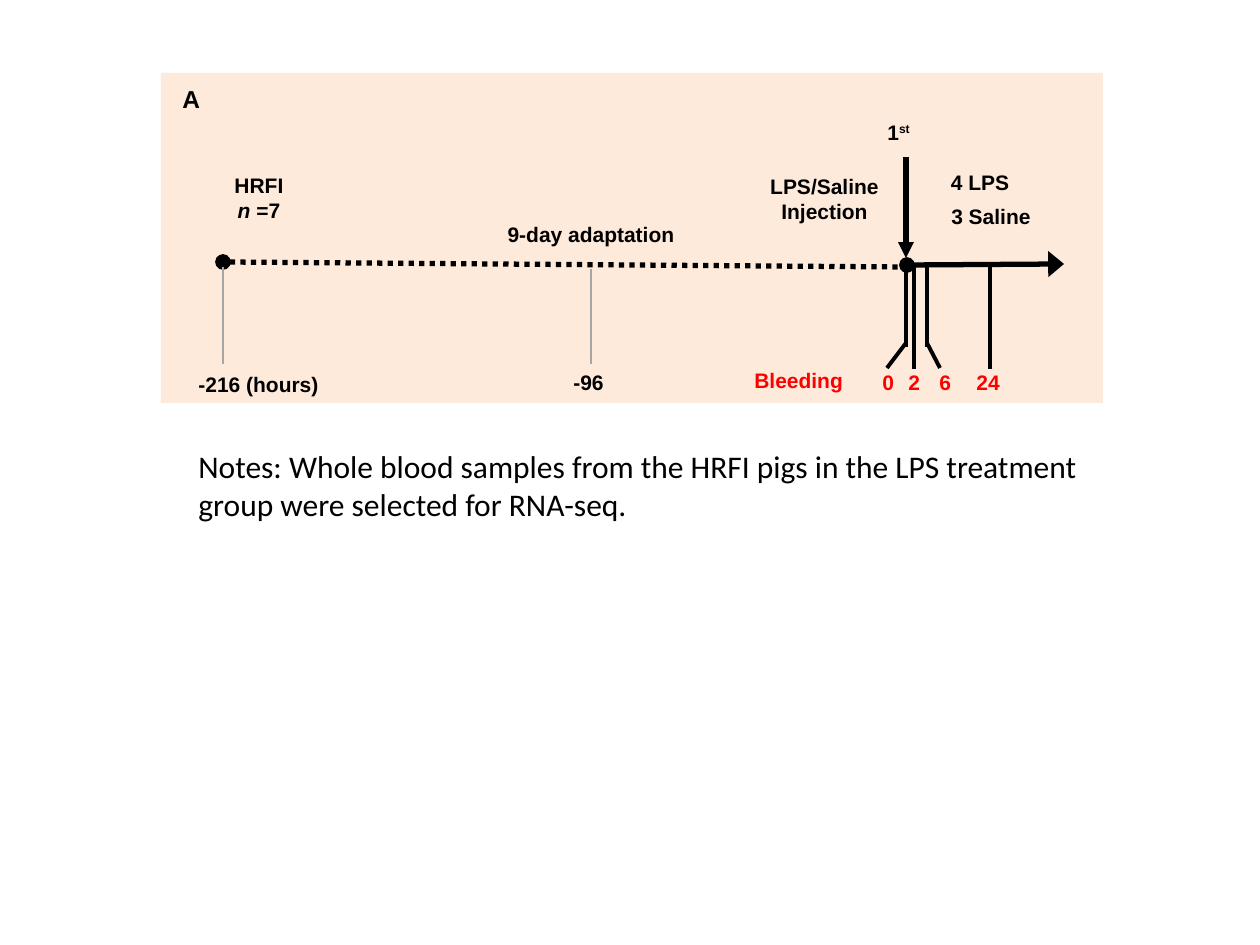
from lxml import etree
from pptx import Presentation
from pptx import util as u
from pptx.dml.color import RGBColor
from pptx.enum import dml, shapes, text
from pptx.oxml import ns

PX = 914400 / 126
BLACK = RGBColor(0x00, 0x00, 0x00)
RED = RGBColor(0xFF, 0x00, 0x00)
GRAY = RGBColor(0xA6, 0xA6, 0xA6)
PEACH = RGBColor(0xFD, 0xEA, 0xDA)
CENTER = text.PP_ALIGN.CENTER
MIDDLE = text.MSO_ANCHOR.MIDDLE


def px(*values):
    return [u.Emu(round(v * PX)) for v in values]


def add_panel(s, x, y, w, h, color):
    sp = s.shapes.add_shape(shapes.MSO_SHAPE.RECTANGLE, *px(x, y, w, h))
    sp.shadow.inherit = False
    sp.fill.solid()
    sp.fill.fore_color.rgb = color
    sp.line.fill.background()


def add_line(s, x1, y1, x2, y2, width, color=BLACK, dash=None, head=None,
             tail=None, tail_width="med"):
    c = s.shapes.add_connector(shapes.MSO_CONNECTOR.STRAIGHT, *px(x1, y1, x2, y2))
    c.line.color.rgb = color
    c.line.width = u.Pt(width)
    if dash:
        c.line.dash_style = dash
    ln = c.line._get_or_add_ln()
    for tag, kind, breadth in (("a:headEnd", head, "med"), ("a:tailEnd", tail, tail_width)):
        if kind:
            etree.SubElement(ln, ns.qn(tag), type=kind, w=breadth)
    etree.SubElement(c._element.spPr, ns.qn("a:effectLst"))


def add_label(s, x, y, w, h, paragraphs, color=BLACK, size=12, font="Arial",
              bold=True, align=None, anchor=None, wrap=True):
    tf = s.shapes.add_textbox(*px(x, y, w, h)).text_frame
    tf.word_wrap = wrap
    if anchor is not None:
        tf.vertical_anchor = anchor
    for i, runs in enumerate(paragraphs):
        p = tf.paragraphs[0] if i == 0 else tf.add_paragraph()
        if align is not None:
            p.alignment = align
        for words, style in runs:
            r = p.add_run()
            r.text = words
            r.font.name = font
            r.font.size = u.Pt(size)
            r.font.bold = bold
            r.font.color.rgb = color
            if style == "italic":
                r.font.italic = True
            elif style == "super":
                r.font._element.set("baseline", "30000")


def add_centered(s, x, y, w, h, paragraphs):
    add_label(s, x, y, w, h, paragraphs, align=CENTER, anchor=MIDDLE, wrap=False)


def plain(words):
    return [[(words, None)]]


def add_timeline(s):
    add_line(s, 223, 262, 903, 267, 3, dash=dml.MSO_LINE.ROUND_DOT, head="oval")
    add_line(s, 907, 265, 1064, 264, 3, head="oval", tail="triangle", tail_width="lg")
    add_line(s, 906, 157, 906, 258, 3, tail="triangle")
    add_line(s, 591, 269, 591, 364, 0.75, GRAY)
    add_line(s, 223, 267, 223, 364, 0.75, GRAY)


def add_bleeding_marks(s):
    for x in (914, 990):
        add_line(s, x, 265, x, 369, 2.5)
    for x, foot in ((906, 887), (927, 940)):
        add_line(s, x, 265, x, 347, 2.25)
        add_line(s, x, 343, foot, 368, 2.25)
    add_label(s, 742, 361, 127, 38, plain("Bleeding"), RED)
    for x, hour in ((870, "0"), (896, "2"), (927, "6"), (964, "24")):
        add_label(s, x, 363, 68, 38, plain(hour), RED)


def add_labels(s):
    add_label(s, 170, 78, 43, 43, plain("A"), size=14, wrap=False)
    add_centered(s, 209, 168, 100, 59,
                 [[("HRFI", None)], [("n", "italic"), (" =7", None)]])
    add_centered(s, 921, 198, 140, 37, plain("3 Saline"))
    add_centered(s, 920, 164, 120, 37, plain("4 LPS"))
    add_centered(s, 481, 215, 220, 39, plain("9-day adaptation"))
    add_label(s, 875, 113, 66, 38, [[("1", None), ("st", "super")]])
    add_label(s, 746, 167, 157, 63, plain("LPS/Saline Injection"), align=CENTER)
    add_label(s, 561, 363, 77, 38, plain("-96"))
    add_label(s, 186, 365, 195, 38, plain("-216 (hours)"))


def main():
    prs = Presentation()
    prs.slide_width, prs.slide_height = px(1260, 945)
    s = prs.slides.add_slide(prs.slide_layouts[6])
    add_panel(s, 161, 73, 942, 330, PEACH)
    add_timeline(s)
    add_bleeding_marks(s)
    add_labels(s)
    add_label(s, 186, 441, 916, 89,
              plain("Notes: Whole blood samples from the HRFI pigs in the LPS "
                    "treatment group were selected for RNA-seq."),
              size=18, font="Calibri", bold=False)
    prs.save("out.pptx")


if __name__ == "__main__":
    main()
